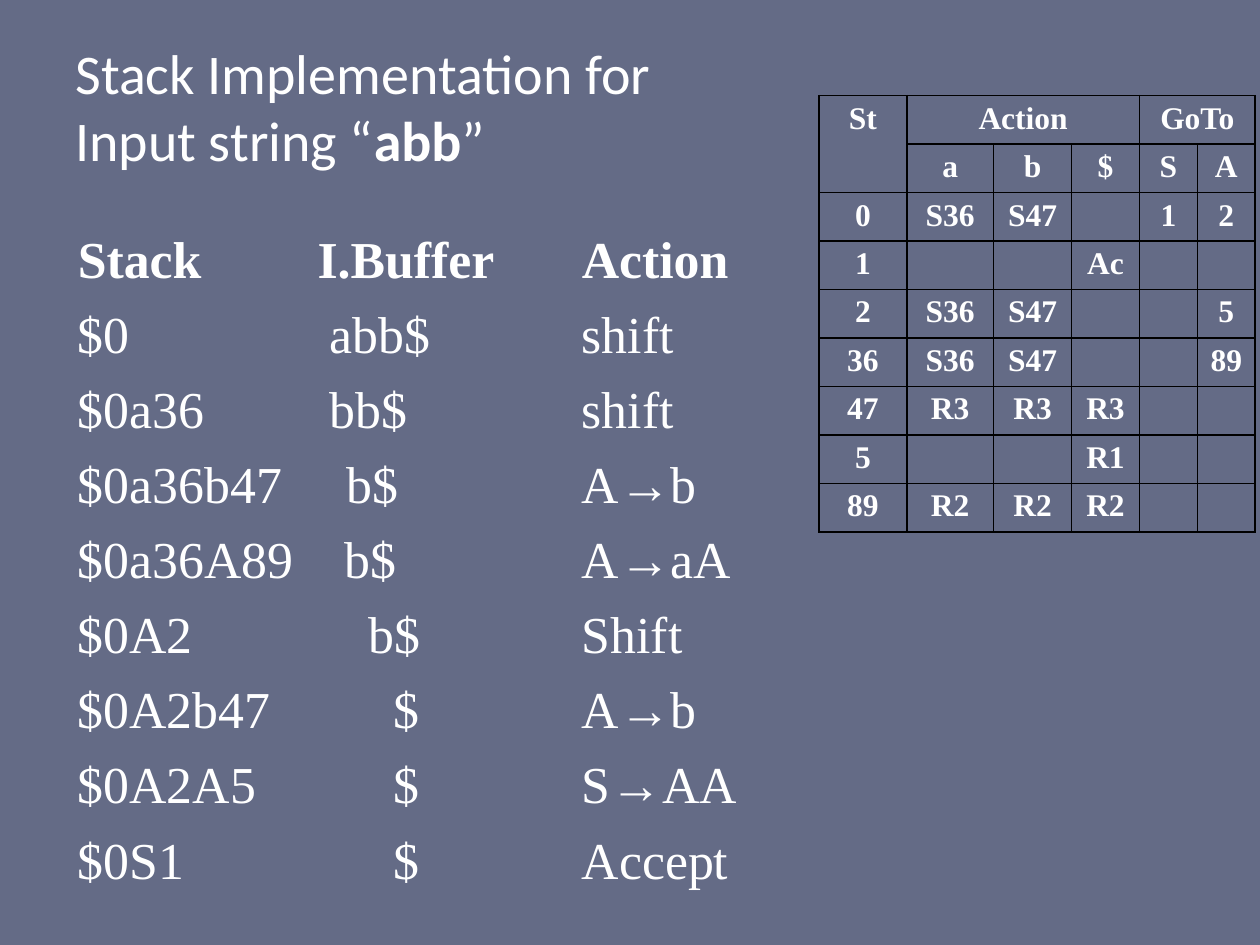
from dataclasses import dataclass

from lxml import etree
from pptx import Presentation
from pptx.dml.color import RGBColor
from pptx.enum.text import MSO_ANCHOR, PP_ALIGN
from pptx.oxml.ns import qn
from pptx.util import Pt

LEFT, CENTER = PP_ALIGN.LEFT, PP_ALIGN.CENTER
TOP, MIDDLE = MSO_ANCHOR.TOP, MSO_ANCHOR.MIDDLE


@dataclass(frozen=True)
class Theme:
    background: str = "646B86"
    text: str = "FFFFFF"
    border: str = "000000"
    title_font: str = "Calibri"
    body_font: str = "Times New Roman"
    title_size: float = 32
    trace_size: float = 29.6
    parse_size: float = 18


THEME = Theme()

# Stack, input buffer, action, and the indent of the buffer text in points
ACTION_TAB = 288
TRACE = [
    ("Stack", "I.Buffer", "Action", 137),
    ("$0", "abb$", "shift", 144),
    ("$0a36", "bb$", "shift", 144),
    ("$0a36b47", "b$", "A→b", 153.7),
    ("$0a36A89", "b$", "A→aA", 152.6),
    ("$0A2", "b$", "Shift", 166),
    ("$0A2b47", "$", "A→b", 180.5),
    ("$0A2A5", "$", "S→AA", 180.5),
    ("$0S1", "$", "Accept", 180.5),
]

PARSE_TABLE = [
    ["St", "Action", "", "", "GoTo", ""],
    ["", "a", "b", "$", "S", "A"],
    ["0", "S36", "S47", "", "1", "2"],
    ["1", "", "", "Ac", "", ""],
    ["2", "S36", "S47", "", "", "5"],
    ["36", "S36", "S47", "", "", "89"],
    ["47", "R3", "R3", "R3", "", ""],
    ["5", "", "", "R1", "", ""],
    ["89", "R2", "R2", "R2", "", ""],
]
PARSE_WIDTHS = [50.2, 49.6, 44.6, 38.8, 33.1, 33.1]
PARSE_ROW_HEIGHT = 27.7
# First row, first column, last row, last column of each merged heading
PARSE_MERGES = [(0, 0, 1, 0), (0, 1, 0, 3), (0, 4, 0, 5)]


def write(paragraph, text, *, font, size, bold=False, align=LEFT,
          line_spacing=None, before=None, tabs=()):
    """Add a formatted run; a newline becomes a line break."""
    paragraph.alignment = align
    if line_spacing is not None:
        paragraph.line_spacing = line_spacing
    if before is not None:
        paragraph.space_before = Pt(before)
    if tabs:
        properties = paragraph._p.get_or_add_pPr()
        stops = etree.SubElement(properties, qn("a:tabLst"))
        for position in tabs:
            etree.SubElement(stops, qn("a:tab"), pos=str(int(Pt(position))), algn="l")
    for index, line in enumerate(text.split("\n")):
        if index:
            paragraph.add_line_break()
        run = paragraph.add_run()
        run.text = line
        run.font.name = font
        run.font.size = Pt(size)
        run.font.bold = bold
        run.font.color.rgb = RGBColor.from_string(THEME.text)


def add_text_frame(slide, left, top, width, height, anchor):
    frame = slide.shapes.add_textbox(Pt(left), Pt(top), Pt(width), Pt(height)).text_frame
    frame.word_wrap = True
    frame.vertical_anchor = anchor
    return frame


def add_title(slide):
    heading = add_text_frame(slide, 36, 9.4, 648, 102.2, MIDDLE).paragraphs[0]
    for text, bold in [("Stack Implementation for\nInput string “", False),
                       ("abb", True), ("”", False)]:
        write(heading, text, font=THEME.title_font, size=THEME.title_size, bold=bold)


def add_trace(slide):
    trace = add_text_frame(slide, 37.4, 122.4, 648, 356.4, TOP)
    trace.margin_top = Pt(7)
    for index, (stack, buffer, action, indent) in enumerate(TRACE):
        step = trace.add_paragraph() if index else trace.paragraphs[0]
        write(step, f"{stack}\t{buffer}\t{action}", font=THEME.body_font,
              size=THEME.trace_size, bold=index == 0,
              before=7.4 if index else 0, tabs=(indent, ACTION_TAB))


def style_cell(cell):
    """Black 1 pt borders, no fill, tight margins."""
    cell.margin_left = cell.margin_right = Pt(5.4)
    cell.margin_top = cell.margin_bottom = 0
    properties = cell._tc.get_or_add_tcPr()
    for side in ("lnL", "lnR", "lnT", "lnB"):
        line = etree.SubElement(properties, qn(f"a:{side}"), w=str(int(Pt(1))))
        fill = etree.SubElement(line, qn("a:solidFill"))
        etree.SubElement(fill, qn("a:srgbClr"), val=THEME.border)
    cell.fill.background()


def add_parse_table(slide):
    row_count = len(PARSE_TABLE)
    parse = slide.shapes.add_table(
        row_count, len(PARSE_WIDTHS), Pt(468), Pt(54.7),
        Pt(sum(PARSE_WIDTHS)), Pt(PARSE_ROW_HEIGHT * row_count)).table
    parse.first_row = parse.horz_banding = False
    for column, width in zip(parse.columns, PARSE_WIDTHS):
        column.width = Pt(width)
    for row, entries in zip(parse.rows, PARSE_TABLE):
        row.height = Pt(PARSE_ROW_HEIGHT)
        for cell, entry in zip(row.cells, entries):
            style_cell(cell)
            if entry:
                write(cell.text_frame.paragraphs[0], entry, font=THEME.body_font,
                      size=THEME.parse_size, bold=True, align=CENTER, line_spacing=1.15)
    for top, left, bottom, right in PARSE_MERGES:
        parse.cell(top, left).merge(parse.cell(bottom, right))


def main():
    deck = Presentation()
    deck.slide_width, deck.slide_height = Pt(720), Pt(540)
    slide = deck.slides.add_slide(deck.slide_layouts[6])
    slide.background.fill.solid()
    slide.background.fill.fore_color.rgb = RGBColor.from_string(THEME.background)
    add_title(slide)
    add_trace(slide)
    add_parse_table(slide)
    deck.save("out.pptx")


if __name__ == "__main__":
    main()
